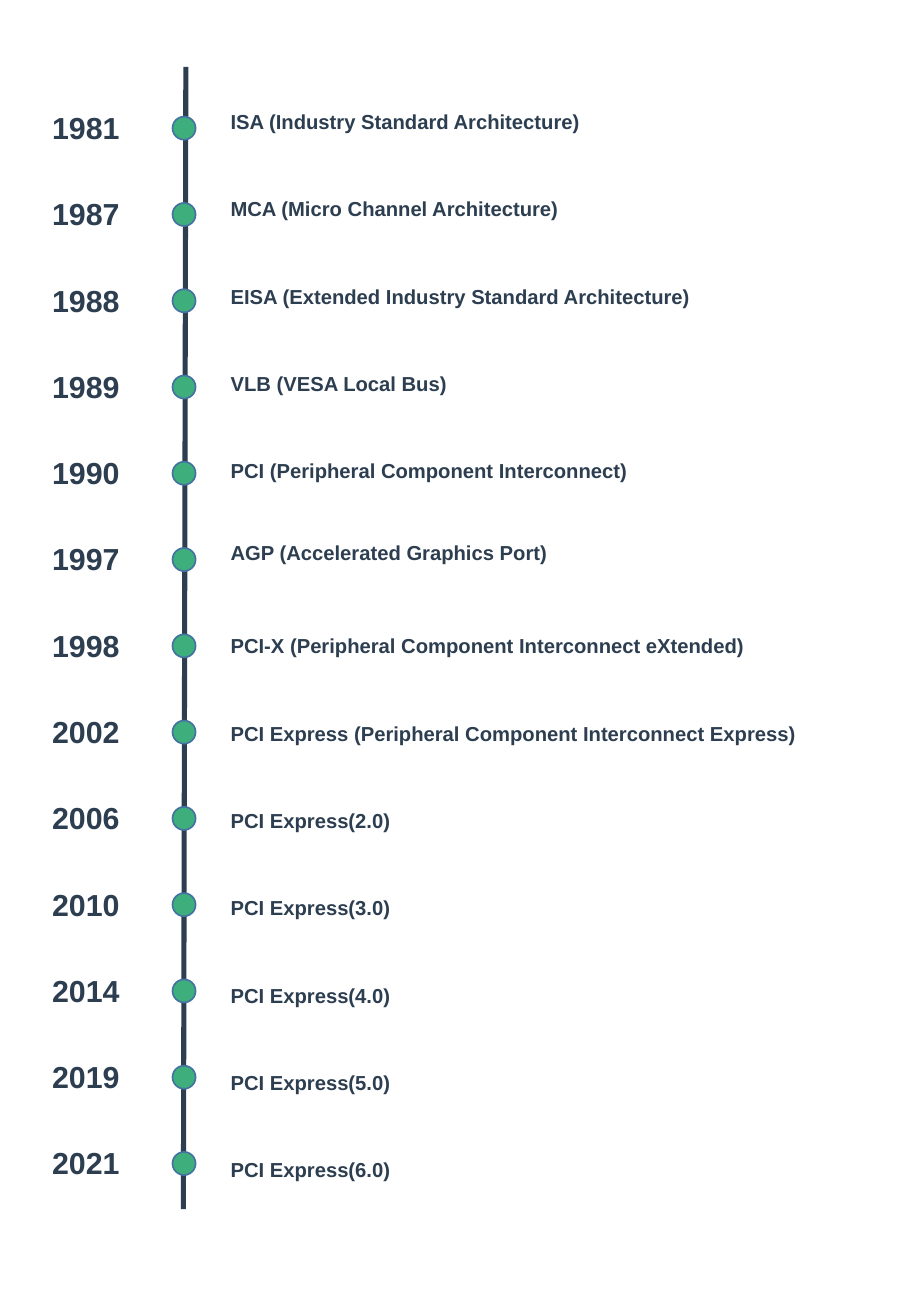
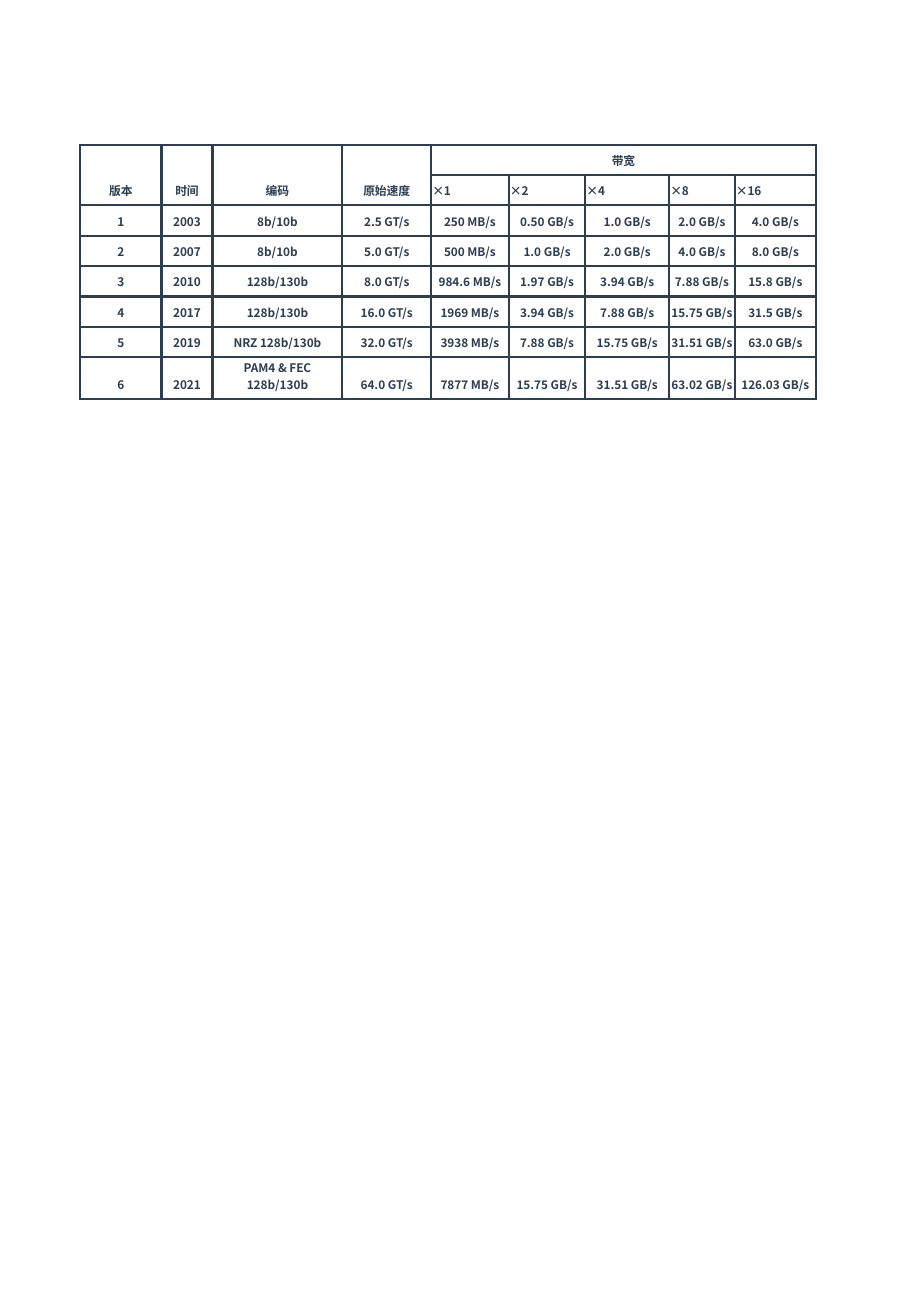
from dataclasses import dataclass

from lxml import etree
from pptx import Presentation
from pptx.dml.color import RGBColor
from pptx.enum.shapes import MSO_CONNECTOR, MSO_SHAPE
from pptx.enum.text import MSO_ANCHOR, MSO_AUTO_SIZE, PP_ALIGN
from pptx.oxml.ns import qn
from pptx.util import Inches, Pt

STRAIGHT, OVAL = MSO_CONNECTOR.STRAIGHT, MSO_SHAPE.OVAL
BOTTOM, FIT_SHAPE = MSO_ANCHOR.BOTTOM, MSO_AUTO_SIZE.SHAPE_TO_FIT_TEXT
LEFT, CENTER = PP_ALIGN.LEFT, PP_ALIGN.CENTER

MILESTONES = [
    ("1981", "ISA (Industry Standard Architecture)", 3.66),
    ("1987", "MCA (Micro Channel Architecture)", 3.4),
    ("1988", "EISA (Extended Industry Standard Architecture)", 4.72),
    ("1989", "VLB (VESA Local Bus)", 2.22),
    ("1990", "PCI (Peripheral Component Interconnect)", 4.08),
    ("1997", "AGP (Accelerated Graphics Port)", 3.26),
    ("1998", "PCI-X (Peripheral Component Interconnect eXtended)", 5.23),
    ("2002", "PCI Express (Peripheral Component Interconnect Express)", 5.67),
    ("2006", "PCI Express(2.0)", 1.75),
    ("2010", "PCI Express(3.0)", 1.75),
    ("2014", "PCI Express(4.0)", 1.75),
    ("2019", "PCI Express(5.0)", 1.75),
    ("2021", "PCI Express(6.0)", 1.75),
]
NAME_SHIFTS = {"1997": -0.05}

HEADINGS = ["版本", "时间", "编码", "原始速度", "带宽"]
LANES = ["×1", "×2", "×4", "×8", "×16"]
VERSIONS = [
    ["1", "2003", "8b/10b", "2.5 GT/s", "250 MB/s", "0.50 GB/s", "1.0 GB/s", "2.0 GB/s", "4.0 GB/s"],
    ["2", "2007", "8b/10b", "5.0 GT/s", "500 MB/s", "1.0 GB/s", "2.0 GB/s", "4.0 GB/s", "8.0 GB/s"],
    ["3", "2010", "128b/130b", "8.0 GT/s", "984.6 MB/s", "1.97 GB/s", "3.94 GB/s", "7.88 GB/s", "15.8 GB/s"],
    ["4", "2017", "128b/130b", "16.0 GT/s", "1969 MB/s", "3.94 GB/s", "7.88 GB/s", "15.75 GB/s", "31.5 GB/s"],
    ["5", "2019", "NRZ 128b/130b", "32.0 GT/s", "3938 MB/s", "7.88 GB/s", "15.75 GB/s", "31.51 GB/s", "63.0 GB/s"],
    ["6", "2021", "PAM4 & FEC 128b/130b", "64.0 GT/s", "7877 MB/s", "15.75 GB/s", "31.51 GB/s", "63.02 GB/s",
     "126.03 GB/s"],
]
COLUMN_WIDTHS = [0.67, 0.42, 1.07, 0.73, 0.64, 0.63, 0.69, 0.54, 0.67]
ROW_HEIGHT = 0.25


@dataclass(frozen=True)
class Theme:
    ink: str = "2C3E50"
    dot: str = "3EAF7C"
    dot_edge: str = "43739E"
    font: str = "Arial"
    cjk_font: str = "Noto Sans CJK SC"
    year_size: float = 18
    name_size: float = 12
    table_size: float = 7
    axis_width: float = 3
    edge_width: float = 1
    border_width: float = 1.5


THEME = Theme()


def rgb(value):
    return RGBColor.from_string(value)


def add_run(paragraph, text, size, font=THEME.font):
    run = paragraph.add_run()
    run.text = text
    run.font.name, run.font.size, run.font.bold = font, Pt(size), True
    run.font.color.rgb = rgb(THEME.ink)
    return run


def add_label(slide, text, size, left, top, width, height):
    box = slide.shapes.add_textbox(Inches(left), Inches(top), Inches(width), Inches(height))
    box.text_frame.word_wrap = False
    box.text_frame.auto_size = FIT_SHAPE
    add_run(box.text_frame.paragraphs[0], text, size)


def add_axis(slide, start, end):
    axis = slide.shapes.add_connector(STRAIGHT, *(Inches(value) for value in start + end))
    axis.line.color.rgb = rgb(THEME.ink)
    axis.line.width = Pt(THEME.axis_width)
    etree.SubElement(axis._element.spPr, qn("a:effectLst"))


def add_dot(slide, left, top, diameter):
    dot = slide.shapes.add_shape(OVAL, Inches(left), Inches(top), Inches(diameter), Inches(diameter))
    dot.shadow.inherit = False
    dot.fill.solid()
    dot.fill.fore_color.rgb = rgb(THEME.dot)
    dot.line.color.rgb = rgb(THEME.dot_edge)
    dot.line.width = Pt(THEME.edge_width)


def draw_borders(cell):
    properties = cell._tc.get_or_add_tcPr()
    for side in ("a:lnL", "a:lnR", "a:lnT", "a:lnB"):
        border = etree.SubElement(properties, qn(side), w=str(Pt(THEME.border_width)))
        paint = etree.SubElement(border, qn("a:solidFill"))
        etree.SubElement(paint, qn("a:srgbClr"), val=THEME.ink)


def format_cell(cell):
    cell.margin_left = cell.margin_right = cell.margin_top = Inches(0.01)
    cell.margin_bottom = Inches(0.05)
    cell.vertical_anchor = BOTTOM
    draw_borders(cell)
    cell.fill.background()


def fill_cell(cell, text, font, alignment):
    paragraph = cell.text_frame.paragraphs[0]
    paragraph.alignment = alignment
    run = add_run(paragraph, text, THEME.table_size, font)
    latin = run.font._element.find(qn("a:latin"))
    latin.addnext(etree.Element(qn("a:ea"), typeface=THEME.cjk_font))


def build_timeline(slide):
    add_axis(slide, (1.53, 0.55), (1.51, 9.95))
    pitch, name_pitch = 0.71, 0.719
    for index in range(len(MILESTONES)):
        add_dot(slide, 1.42, 0.96 + index * pitch, 0.19)
    for index, (year, name, width) in enumerate(MILESTONES):
        name_top = 0.85 + index * name_pitch + NAME_SHIFTS.get(year, 0)
        add_label(slide, year, THEME.year_size, 0.33, 0.85 + index * pitch, 0.89, 0.4)
        add_label(slide, name, THEME.name_size, 1.8, name_top, width, 0.3)


def build_versions(slide):
    row_count, column_count = len(VERSIONS) + 2, len(COLUMN_WIDTHS)
    frame = slide.shapes.add_table(
        row_count, column_count, Inches(0.66), Inches(1.19),
        Inches(sum(COLUMN_WIDTHS)), Inches(ROW_HEIGHT * row_count))
    table = frame.table
    table.first_row = table.horz_banding = False
    for column, width in zip(table.columns, COLUMN_WIDTHS):
        column.width = Inches(width)
    for row in table.rows:
        row.height = Inches(ROW_HEIGHT)
    for cell in table.iter_cells():
        format_cell(cell)

    bandwidth_column = len(HEADINGS) - 1
    for column in range(bandwidth_column):
        table.cell(0, column).merge(table.cell(1, column))
    table.cell(0, bandwidth_column).merge(table.cell(0, column_count - 1))

    for column, heading in enumerate(HEADINGS):
        fill_cell(table.cell(0, column), heading, THEME.font, CENTER)
    for column, lane in enumerate(LANES, bandwidth_column):
        fill_cell(table.cell(1, column), lane, THEME.cjk_font, LEFT)
    for row, version in enumerate(VERSIONS, 2):
        for column, value in enumerate(version):
            fill_cell(table.cell(row, column), value, THEME.cjk_font, CENTER)


deck = Presentation()
deck.slide_width, deck.slide_height = Inches(7.5), Inches(10.83)
blank_layout = deck.slide_layouts[6]
for build in (build_timeline, build_versions):
    build(deck.slides.add_slide(blank_layout))
deck.save("out.pptx")
